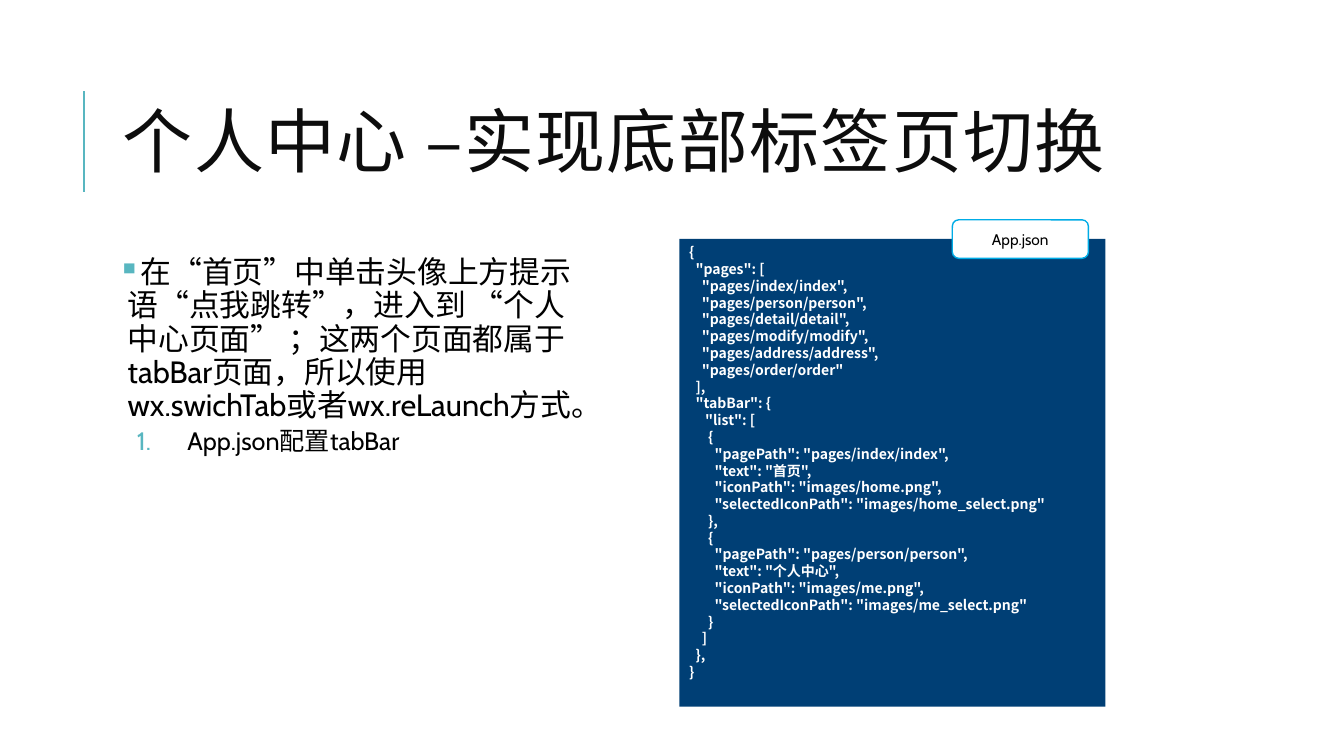
"""Build the slide on switching bottom tab pages in the personal centre."""
from dataclasses import dataclass

import lxml.etree
import pptx
import pptx.dml.color
import pptx.enum.shapes
import pptx.enum.text
import pptx.oxml.ns
import pptx.util

Cm = pptx.util.Cm
Pt = pptx.util.Pt
qn = pptx.oxml.ns.qn


@dataclass(frozen=True)
class Theme:
    """Colours, fonts and type sizes of the slide."""
    accent: str = "58B6C0"
    title: str = "0D0D0D"
    text: str = "000000"
    white: str = "FFFFFF"
    panel: str = "003F75"
    label_line: str = "00ACE6"
    title_font: str = "Calibri"
    body_font: str = "Cabin"
    cjk_font: str = "Noto Sans CJK SC"
    title_size: int = 50
    body_size: int = 22
    step_size: int = 18
    label_size: int = 11
    code_size: int = 10
    code_leading: int = 12


THEME = Theme()

TITLE = "个人中心 –实现底部标签页切换"
INTRO = ("在“首页”中单击头像上方提示语“点我跳转”，进入到 “个人中心页面” ；"
         "这两个页面都属于tabBar页面，所以使用wx.swichTab或者wx.reLaunch方式。")
STEP = "App.json配置tabBar"
FILE_NAME = "App.json"
CODE = """{
  "pages": [
    "pages/index/index",
    "pages/person/person",
    "pages/detail/detail",
    "pages/modify/modify",
    "pages/address/address",
    "pages/order/order"
  ],
  "tabBar": {
     "list": [
      {
        "pagePath": "pages/index/index",
        "text": "首页",
        "iconPath": "images/home.png",
        "selectedIconPath": "images/home_select.png"
      },
      {
        "pagePath": "pages/person/person",
        "text": "个人中心",
        "iconPath": "images/me.png",
        "selectedIconPath": "images/me_select.png"
      }
    ]
  },
}"""


def rgb(value):
    """Turn a hex string into a colour."""
    return pptx.dml.color.RGBColor.from_string(value)


def format_runs(p, font, size, color, bold=False):
    """Format every run of a paragraph."""
    for r in p.runs:
        r.font.name = font
        r.font.size = Pt(size)
        r.font.bold = bold
        r.font.color.rgb = rgb(color)
        ea = lxml.etree.SubElement(r.font._element, qn("a:ea"))
        ea.set("typeface", THEME.cjk_font)


def add_marker(p, tag, attribute, value, left, hanging):
    """Give a paragraph a coloured bullet or number and a hanging indent."""
    pPr = p._p.get_or_add_pPr()
    pPr.set("marL", str(left))
    pPr.set("indent", str(-hanging))
    color = lxml.etree.SubElement(pPr, qn("a:buClr"))
    lxml.etree.SubElement(color, qn("a:srgbClr")).set("val", THEME.accent)
    lxml.etree.SubElement(pPr, qn(tag)).set(attribute, value)


def set_title(s):
    """Place and format the title."""
    sp = s.shapes.title
    sp.left, sp.top, sp.width, sp.height = Cm(2.84), Cm(1.63), Cm(27), Cm(4.17)
    tf = sp.text_frame
    tf.text = TITLE
    tf.auto_size = pptx.enum.text.MSO_AUTO_SIZE.NONE
    tf.vertical_anchor = pptx.enum.text.MSO_ANCHOR.MIDDLE
    p = tf.paragraphs[0]
    p.alignment = pptx.enum.text.PP_ALIGN.LEFT
    p.line_spacing = 0.8
    format_runs(p, THEME.title_font, THEME.title_size, THEME.title)
    for r in p.runs:
        r.font._element.set("spc", "100")


def add_rule(s):
    """Draw the vertical line beside the title."""
    line = s.shapes.add_connector(pptx.enum.shapes.MSO_CONNECTOR.STRAIGHT,
                                  Cm(2.12), Cm(4.83), Cm(2.12), Cm(2.29))
    line.line.color.rgb = rgb(THEME.accent)
    line.line.width = Pt(1.5)
    lxml.etree.SubElement(line._element.spPr, qn("a:effectLst"))


def add_body(s):
    """Add the explanation and its numbered step."""
    sp = s.shapes.add_textbox(Cm(2.84), Cm(6.35), Cm(11.81), Cm(9.78))
    tf = sp.text_frame
    tf.word_wrap = True
    tf.margin_left = tf.margin_right = tf.margin_top = tf.margin_bottom = Cm(0.13)
    p = tf.paragraphs[0]
    p.text = INTRO
    add_marker(p, "a:buChar", "char", "▪", Cm(0.25), Cm(0.25))
    p.line_spacing = 0.9
    p.space_after = Pt(2)
    format_runs(p, THEME.body_font, THEME.body_size, THEME.text)
    p = tf.add_paragraph()
    p.text = STEP
    p.level = 1
    add_marker(p, "a:buAutoNum", "type", "arabicPeriod", Cm(1.75), Cm(1.27))
    p.line_spacing = 0.9
    p.space_before = Pt(2)
    p.space_after = Pt(4)
    format_runs(p, THEME.body_font, THEME.step_size, THEME.text)


def add_panel(shapes, kind, box, fill, text):
    """Add a filled shape with text and no outline."""
    sp = shapes.add_shape(kind, *(Cm(v) for v in box))
    sp.shadow.inherit = False
    sp.fill.solid()
    sp.fill.fore_color.rgb = rgb(fill)
    sp.line.fill.background()
    sp.text_frame.word_wrap = True
    sp.text_frame.text = text
    return sp


def add_code(s):
    """Add the code panel with its file name label."""
    shapes = s.shapes.add_group_shape().shapes
    kinds = pptx.enum.shapes.MSO_SHAPE
    sp = add_panel(shapes, kinds.RECTANGLE, (17.12, 6.02, 10.74, 11.79),
                   THEME.panel, CODE)
    sp.text_frame.vertical_anchor = pptx.enum.text.MSO_ANCHOR.TOP
    for p in sp.text_frame.paragraphs:
        p.alignment = pptx.enum.text.PP_ALIGN.LEFT
        p.line_spacing = Pt(THEME.code_leading)
        format_runs(p, THEME.cjk_font, THEME.code_size, THEME.white, bold=True)
    sp = add_panel(shapes, kinds.ROUNDED_RECTANGLE, (24, 5.54, 3.43, 0.97),
                   THEME.white, FILE_NAME)
    sp.line.color.rgb = rgb(THEME.label_line)
    sp.line.width = Pt(1)
    p = sp.text_frame.paragraphs[0]
    p.alignment = pptx.enum.text.PP_ALIGN.CENTER
    format_runs(p, THEME.body_font, THEME.label_size, THEME.text)


def main():
    """Build and save the slide."""
    prs = pptx.Presentation()
    prs.slide_width, prs.slide_height = Cm(33.87), Cm(19.05)
    s = prs.slides.add_slide(prs.slide_layouts[5])
    add_rule(s)
    set_title(s)
    add_body(s)
    add_code(s)
    prs.save("out.pptx")


if __name__ == "__main__":
    main()
